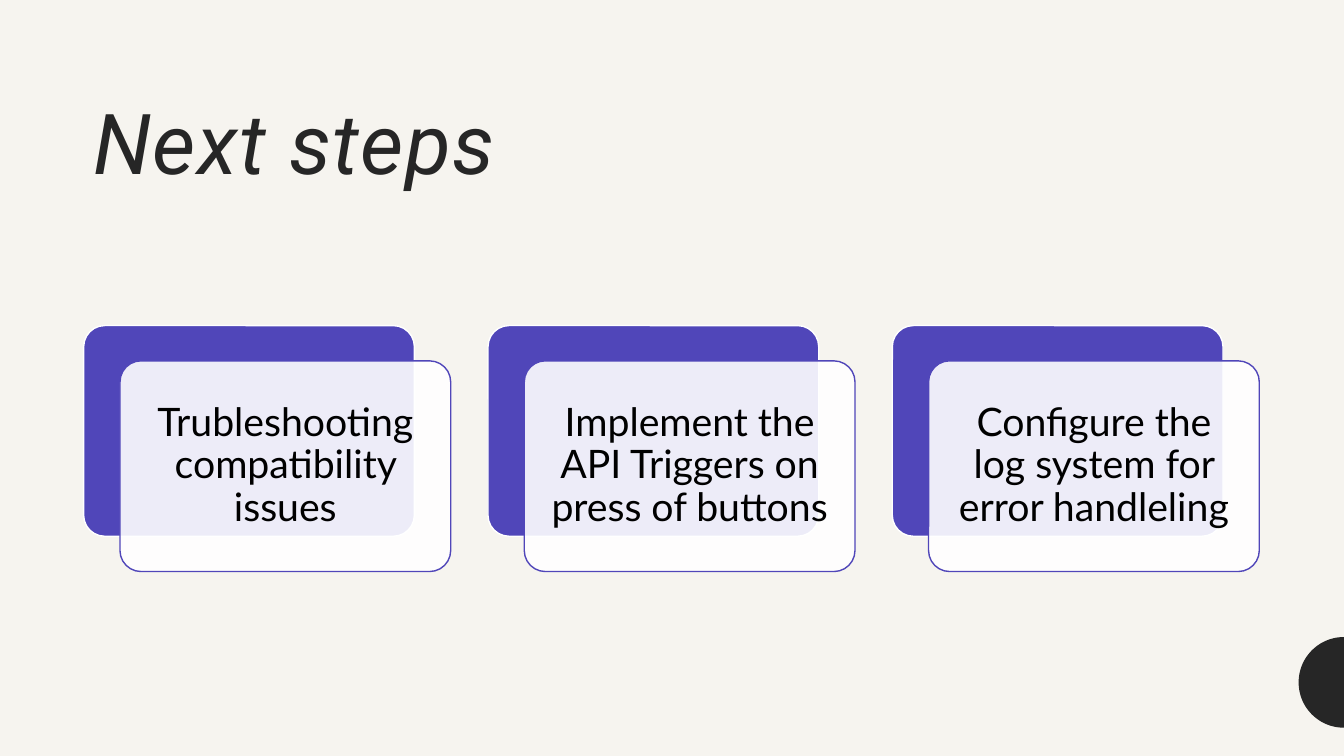
import math
from lxml import etree
from pptx import Presentation
from pptx import util as u
from pptx.dml.color import RGBColor
from pptx.enum import shapes, text
from pptx.oxml.ns import qn

COLORS = {"paper": "F6F4EF", "ink": "262626", "violet": "5046B9",
          "white": "FFFFFF", "black": "000000"}
STEPS = ["Trubleshooting compatibility issues",
         "Implement the API Triggers on press of buttons",
         "Configure the log system for error handleling"]


class SlideBuilder:
    """Draws styled elements on one slide."""

    def __init__(self, slide):
        self.slide = slide
        self.paint(slide.background.fill, "paper")

    def paint(self, fill, color, opacity=None):
        fill.solid()
        fill.fore_color.rgb = RGBColor.from_string(COLORS[color])
        if opacity is not None:
            srgb = fill._xPr.find(qn("a:solidFill")).find(qn("a:srgbClr"))
            etree.SubElement(srgb, qn("a:alpha"), val=str(opacity * 1000))

    def set_words(self, frame, words, size, font, color, anchor, align):
        frame.word_wrap = True
        frame.vertical_anchor = anchor
        frame.text = words
        line = frame.paragraphs[0]
        line.alignment = align
        line.line_spacing = 0.9
        run = line.runs[0]
        run.font.size = u.Pt(size)
        run.font.name = font
        run.font.color.rgb = RGBColor.from_string(COLORS[color])
        return run

    def title(self, words, left, top, width, height):
        heading = self.slide.shapes.add_textbox(
            u.Inches(left), u.Inches(top), u.Inches(width), u.Inches(height))
        run = self.set_words(heading.text_frame, words, 60, "Roboto", "ink",
                             text.MSO_ANCHOR.BOTTOM, text.PP_ALIGN.LEFT)
        run.font.italic = True
        run.font._element.set("spc", "100")

    def card(self, left, top, fill, outline, opacity=None):
        card = self.slide.shapes.add_shape(
            shapes.MSO_SHAPE.ROUNDED_RECTANGLE,
            u.Inches(left), u.Inches(top), u.Inches(3.28), u.Inches(2.09))
        card.adjustments[0] = 0.1
        card.shadow.inherit = False
        self.paint(card.fill, fill, opacity)
        card.line.color.rgb = RGBColor.from_string(COLORS[outline])
        card.line.width = u.Pt(1)
        return card

    def step(self, words, left, top):
        self.card(left, top, "violet", "white")
        front = self.card(left + 0.36, top + 0.35, "white", "violet", 90)
        frame = front.text_frame
        frame.margin_left = frame.margin_right = u.Inches(0.12)
        frame.margin_top = frame.margin_bottom = u.Inches(0.12)
        self.set_words(frame, words, 28, "Lato", "black",
                       text.MSO_ANCHOR.MIDDLE, text.PP_ALIGN.CENTER)
        frame.paragraphs[0].space_after = u.Pt(9.8)

    def half_disc(self, center_x, center_y, radius, segments=52):
        angles = [math.pi * (0.5 + i / segments) for i in range(segments + 1)]
        rim = [(u.Inches(center_x + radius * math.cos(a)),
                u.Inches(center_y + radius * math.sin(a))) for a in angles]
        outline = self.slide.shapes.build_freeform(*rim[0])
        outline.add_line_segments(rim[1:], close=True)
        disc = outline.convert_to_shape()
        disc.shadow.inherit = False
        self.paint(disc.fill, "ink")
        disc.line.fill.background()


def main():
    deck = Presentation()
    deck.slide_width = u.Inches(13.33)
    deck.slide_height = u.Inches(7.5)
    builder = SlideBuilder(deck.slides.add_slide(deck.slide_layouts[6]))
    builder.title("Next steps", 0.83, 0.46, 11.67, 1.5)
    builder.half_disc(13.33, 6.77, 0.45)
    for index, words in enumerate(STEPS):
        builder.step(words, 0.83 + 4.01 * index, 3.23)
    deck.save("out.pptx")


if __name__ == "__main__":
    main()
